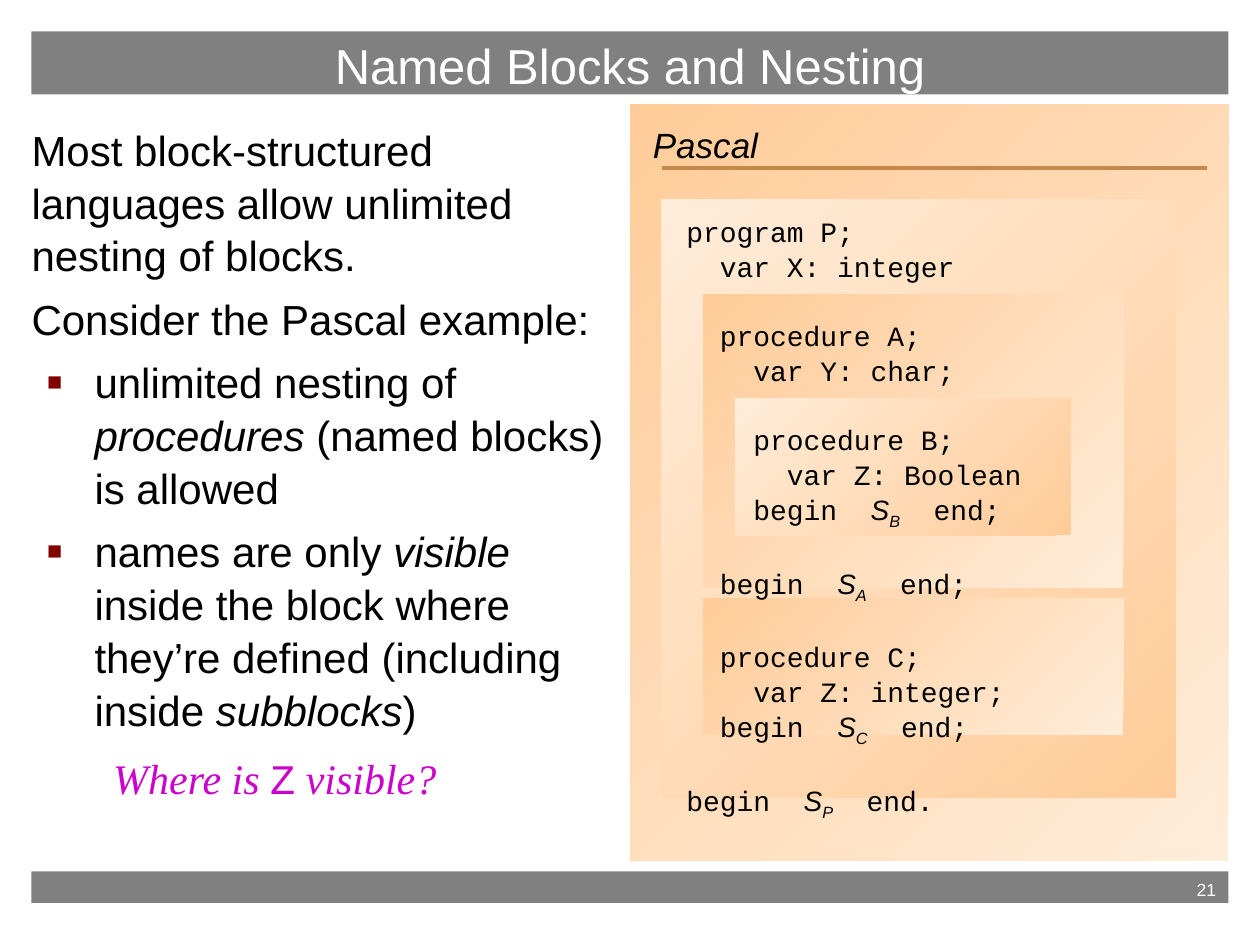
from typing import NamedTuple

from lxml.etree import SubElement
from pptx import Presentation
from pptx.dml.color import RGBColor
from pptx.enum.shapes import MSO_CONNECTOR, MSO_SHAPE
from pptx.enum.text import MSO_ANCHOR, PP_ALIGN
from pptx.oxml.ns import qn
from pptx.util import Emu, Pt

PX = 7620  # 120 px to the inch
SANS, MONO, SERIF = "Arial", "Courier New", "Times New Roman"
HUES = {
    "bar": "808080", "white": "FFFFFF", "black": "000000", "rule": "C5884B",
    "pale": "FFECD9", "deep": "FFCC99", "mark": "800000", "ask": "CC00CC",
}
LEAD = 1.05  # line spacing
GAP = 19     # one empty line of code, in points


class Box(NamedTuple):
    left: int
    top: int
    width: int
    height: int


class Block(NamedTuple):
    box: Box
    depth: int


class Code(NamedTuple):
    text: str
    name: str = ""
    tail: str = ""
    gap: int = 0


BLOCKS = [
    Block(Box(600, 100, 570, 720), 0),
    Block(Box(630, 190, 490, 570), 1),
    Block(Box(670, 280, 400, 280), 2),
    Block(Box(670, 570, 400, 130), 2),
    Block(Box(700, 380, 320, 130), 3),
]
LINES = [
    Code("  program P;", gap=27),
    Code("    var X: integer"),
    Code("    procedure A;", gap=GAP),
    Code("      var Y: char;"),
    Code("      procedure B;", gap=GAP),
    Code("        var Z: Boolean"),
    Code("      begin  ", "B", "  end;"),
    Code("    begin  ", "A", "  end;", GAP),
    Code("    procedure C;", gap=GAP),
    Code("      var Z: integer;"),
    Code("    begin  ", "C", "  end;"),
    Code("  begin  ", "P", "  end.", GAP),
]
INTRO = [
    "Most block-structured languages allow unlimited nesting of blocks.",
    "Consider the Pascal example:",
]
# Every second part of a point is italic.
POINTS = [
    ["unlimited nesting of ", "procedures", " (named blocks) is allowed"],
    ["names are only ", "visible",
     " inside the block where they’re defined (including inside ",
     "subblocks", ")"],
]


def hue(name: str) -> RGBColor:
    return RGBColor.from_string(HUES[name])


def scale(box: Box) -> list[Emu]:
    return [Emu(n * PX) for n in box]


def write(para, text: str, *, size: int, font: str = SANS, color: str = "black",
          slant: bool = False, base: int = 0) -> None:
    """Add a run; base is the subscript shift in percent."""
    run = para.add_run()
    run.text = text
    run.font.size = Pt(size)
    run.font.name = font
    run.font.italic = slant
    run.font.color.rgb = hue(color)
    if base:
        run.font._element.set("baseline", str(base * 1000))


def start(frame, gap: int = 0):
    """Return a fresh paragraph, using the empty first one if it is free."""
    first = frame.paragraphs[0]
    para = first if not first.runs else frame.add_paragraph()
    para.line_spacing = LEAD
    if para is not first:
        para.space_before = Pt(gap)
    return para


def bullet(para) -> None:
    props = para._p.get_or_add_pPr()
    props.set("marL", str(60 * PX))
    props.set("indent", str(-45 * PX))
    tint = SubElement(props, qn("a:buClr"))
    SubElement(tint, qn("a:srgbClr"), val=HUES["mark"])
    SubElement(props, qn("a:buSzPct"), val="60000")
    SubElement(props, qn("a:buFont"), typeface=SANS)
    SubElement(props, qn("a:buChar"), char="■")


def panel(slide, box: Box):
    shape = slide.shapes.add_shape(MSO_SHAPE.RECTANGLE, *scale(box))
    shape.shadow.inherit = False
    shape.line.fill.background()
    return shape


def bar(slide, box: Box, text: str, size: int, align: PP_ALIGN,
        anchor: MSO_ANCHOR) -> None:
    shape = panel(slide, box)
    shape.fill.solid()
    shape.fill.fore_color.rgb = hue("bar")
    frame = shape.text_frame
    frame.vertical_anchor = anchor
    para = start(frame)
    para.alignment = align
    write(para, text, size=size, color="white")


def nest(slide, block: Block) -> None:
    """Draw a block whose shading flips with each level of depth."""
    fill = panel(slide, block.box).fill
    fill.gradient()
    fill.gradient_angle = 135
    tints = ("deep", "pale") if block.depth % 2 else ("pale", "deep")
    for stop, tint in zip(fill.gradient_stops, tints):
        stop.color.rgb = hue(tint)


def rule(slide, left: int, right: int, top: int) -> None:
    line = slide.shapes.add_connector(
        MSO_CONNECTOR.STRAIGHT, *scale((left, top, right, top)))
    line.line.color.rgb = hue("rule")
    line.line.width = Pt(2.25)
    SubElement(line._element.spPr, qn("a:effectLst"))


def frame_at(slide, box: Box, wrap: bool = True):
    frame = slide.shapes.add_textbox(*scale(box)).text_frame
    frame.word_wrap = wrap
    return frame


def body(slide) -> None:
    frame = frame_at(slide, Box(30, 110, 560, 700))
    frame.margin_left = 0
    for text in INTRO:
        write(start(frame, 6), text, size=24)
    for parts in POINTS:
        para = start(frame, 6)
        bullet(para)
        for i, part in enumerate(parts):
            write(para, part, size=24, slant=i % 2 == 1)


def listing(slide) -> None:
    frame = frame_at(slide, Box(610, 110, 550, 700))
    frame.margin_right = 0
    write(start(frame), "Pascal", size=20, slant=True)
    for line in LINES:
        para = start(frame, line.gap)
        write(para, line.text, size=16, font=MONO)
        if line.name:
            write(para, "S", size=16, slant=True)
            write(para, line.name, size=16, slant=True, base=-25)
            write(para, line.tail, size=16, font=MONO)


def quiz(slide) -> None:
    frame = frame_at(slide, Box(96, 710, 334, 60), wrap=False)
    frame.vertical_anchor = MSO_ANCHOR.MIDDLE
    para = start(frame)
    write(para, "Where is ", size=24, font=SERIF, color="ask", slant=True)
    write(para, "Z", size=24, font=MONO, color="ask")
    write(para, " visible?", size=24, font=SERIF, color="ask", slant=True)


def main() -> None:
    deck = Presentation()
    deck.slide_width, deck.slide_height = Emu(1200 * PX), Emu(900 * PX)
    slide = deck.slides.add_slide(deck.slide_layouts[6])
    bar(slide, Box(30, 830, 1140, 30), "21", 10, PP_ALIGN.RIGHT, MSO_ANCHOR.TOP)
    bar(slide, Box(30, 30, 1140, 60), "Named Blocks and Nesting", 28,
        PP_ALIGN.CENTER, MSO_ANCHOR.MIDDLE)
    for block in BLOCKS:
        nest(slide, block)
    rule(slide, 630, 1150, 160)
    body(slide)
    listing(slide)
    quiz(slide)
    deck.save("out.pptx")


if __name__ == "__main__":
    main()
